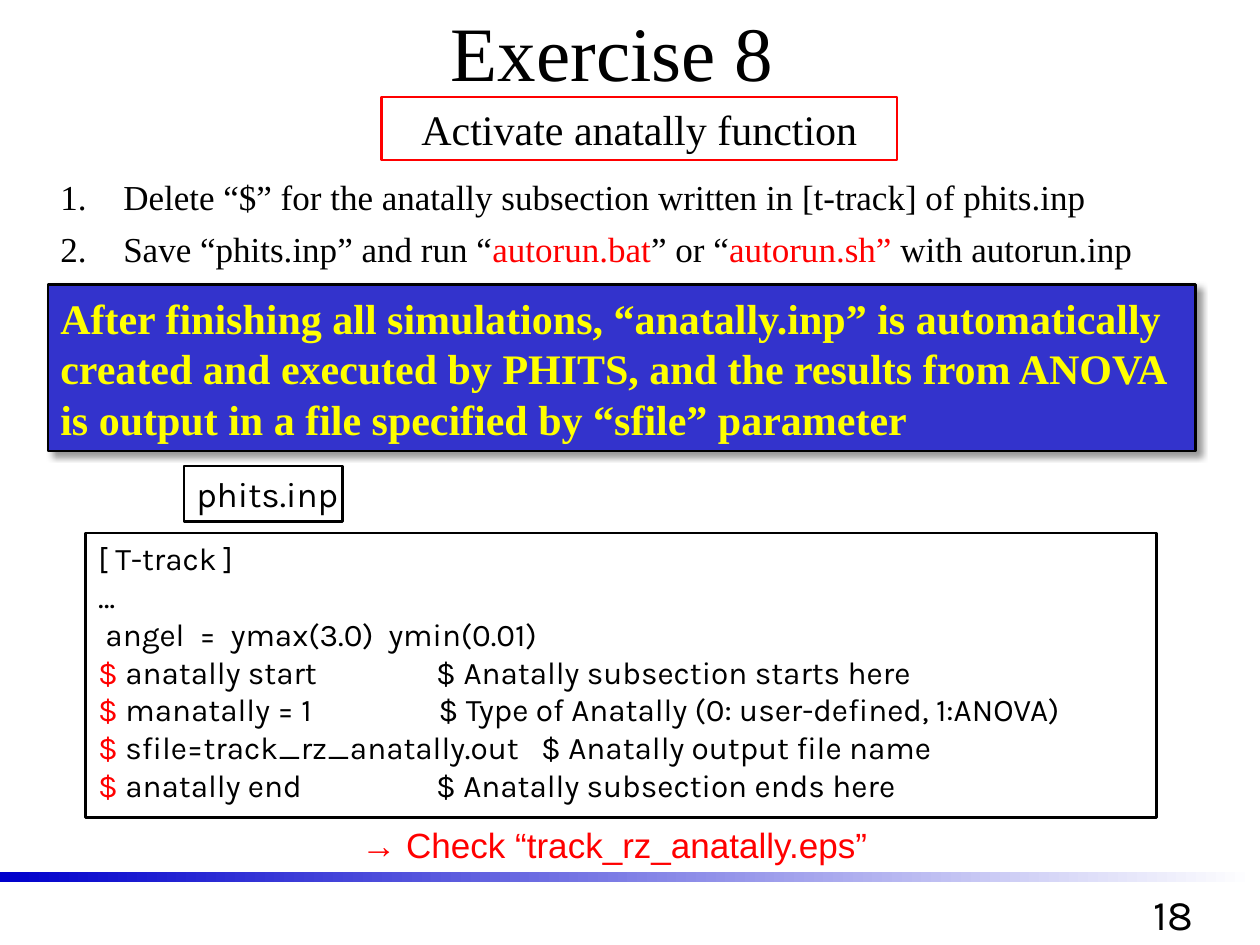
from lxml.etree import SubElement
from pptx import Presentation
from pptx.dml.color import RGBColor
from pptx.enum.shapes import MSO_SHAPE
from pptx.enum.text import MSO_ANCHOR, PP_ALIGN
from pptx.oxml.ns import qn
from pptx.util import Inches, Pt

WIDE, HIGH = Inches(10), Inches(7.5)
BLACK, RED, WHITE = "000000", "FF0000", "FFFFFF"
SERIF, SANS, KARLA = "Times New Roman", "Arial", "Karla"
STEPS = [
    [("Delete “$” for the anatally subsection written in [t-track] of phits.inp", BLACK)],
    [("Save “phits.inp” and run “", BLACK), ("autorun.bat", RED), ("” or “", BLACK),
     ("autorun.sh” ", RED), ("with autorun.inp", BLACK)],
]
HEAD = ["[ T-track ]", "…", " angel  =  ymax(3.0)  ymin(0.01)"]
CODE = [
    ("anatally start", "Anatally subsection starts here"),
    ("manatally = 1", "Type of Anatally (0: user-defined, 1:ANOVA)"),
    ("sfile=track_rz_anatally.out", "Anatally output file name"),
    ("anatally end", "Anatally subsection ends here"),
]
NOTE = ("After finishing all simulations, “anatally.inp” is automatically created and "
        "executed by PHITS, and the results from ANOVA is output in a file specified "
        "by “sfile” parameter")


def paint(text):
    return RGBColor.from_string(text)


def place(left, top, width, height):
    return (int(WIDE * left / 100), int(HIGH * top / 100),
            int(WIDE * width / 100), int(HIGH * height / 100))


def write(shape, lines, font, size, align=PP_ALIGN.LEFT, anchor=MSO_ANCHOR.TOP,
          bold=False, wrap=True):
    frame = shape.text_frame
    frame.word_wrap = wrap
    frame.vertical_anchor = anchor
    for row, parts in enumerate(lines):
        para = frame.add_paragraph() if row else frame.paragraphs[0]
        para.alignment = align
        for text, color in parts:
            run = para.add_run()
            run.text = text
            run.font.name = font
            run.font.size = Pt(size)
            run.font.bold = bold
            run.font.color.rgb = paint(color)


def add_text(slide, area, lines, font, size, **style):
    box = slide.shapes.add_textbox(*place(*area))
    write(box, lines, font, size, **style)
    return box


def add_box(slide, area, edge, fill=None):
    box = slide.shapes.add_shape(MSO_SHAPE.RECTANGLE, *place(*area))
    box.shadow.inherit = False
    if fill:
        box.fill.solid()
        box.fill.fore_color.rgb = paint(fill)
    else:
        box.fill.background()
    box.line.color.rgb = paint(edge)
    box.line.width = Pt(1.5)
    return box


def add_bar(slide, area):
    bar = slide.shapes.add_shape(MSO_SHAPE.RECTANGLE, *place(*area))
    bar.shadow.inherit = False
    bar.line.fill.background()
    bar.fill.gradient()
    bar.fill.gradient_angle = 0
    for stop, color, spot in zip(bar.fill.gradient_stops, ("0000CC", WHITE), (0, 1)):
        stop.color.rgb = paint(color)
        stop.position = spot


def cast(shape):
    group = shape._element.spPr.find(qn("a:effectLst"))
    shade = SubElement(group, qn("a:outerShdw"), blurRad=str(Pt(4)), dist=str(Pt(3)),
                       dir="2700000", algn="tl", rotWithShape="0")
    color = SubElement(shade, qn("a:srgbClr"), val=BLACK)
    SubElement(color, qn("a:alpha"), val="40000")


def count(box):
    for row, para in enumerate(box.text_frame.paragraphs):
        props = para._p.get_or_add_pPr()
        props.set("marL", str(Inches(0.5)))
        props.set("indent", str(-Inches(0.5)))
        if row:
            para.space_before = Pt(6)
        SubElement(props, qn("a:buFont"), typeface="+mj-lt")
        SubElement(props, qn("a:buAutoNum"), type="arabicPeriod")


def main():
    deck = Presentation()
    deck.slide_width, deck.slide_height = WIDE, HIGH
    slide = deck.slides.add_slide(deck.slide_layouts[5])
    mid = {"align": PP_ALIGN.CENTER, "anchor": MSO_ANCHOR.MIDDLE}

    title = slide.shapes.title
    title.left, title.top, title.width, title.height = place(0, 0.53, 97.2, 9.6)
    write(title, [[("Exercise 8", BLACK)]], SERIF, 44, **mid)

    add_bar(slide, (0, 92.27, 99.6, 1.07))
    add_text(slide, (89.2, 93.33, 7.9, 6.67), [[("18", BLACK)]], KARLA, 24, **mid)
    add_text(slide, (27.7, 86.53, 44.9, 5.87),
             [[("→ Check “track_rz_anatally.eps”", RED)]], SANS, 20)
    count(add_text(slide, (3.8, 17.87, 92.5, 17.07), STEPS, SERIF, 20))

    label = add_box(slide, (14.6, 49.33, 12.6, 5.87), BLACK)
    write(label, [[("phits.inp", BLACK)]], KARLA, 20, wrap=False)

    goal = add_box(slide, (30.3, 10.27, 40.9, 6.67), RED)
    write(goal, [[("Activate anatally function", BLACK)]], SERIF, 24, **mid)

    lines = [[(text, BLACK)] for text in HEAD]
    lines += [[("$ ", RED), (f"{code:<30}$ {hint}", BLACK)] for code, hint in CODE]
    code = add_box(slide, (6.8, 56.4, 85, 30.13), BLACK, WHITE)
    write(code, lines, KARLA, 18)

    note = add_box(slide, (3.8, 30.13, 91.1, 17.6), BLACK, "3333CC")
    cast(note)
    write(note, [[(NOTE, "FFFF00")]], SERIF, 24, anchor=MSO_ANCHOR.MIDDLE, bold=True)

    deck.save("out.pptx")


if __name__ == "__main__":
    main()
